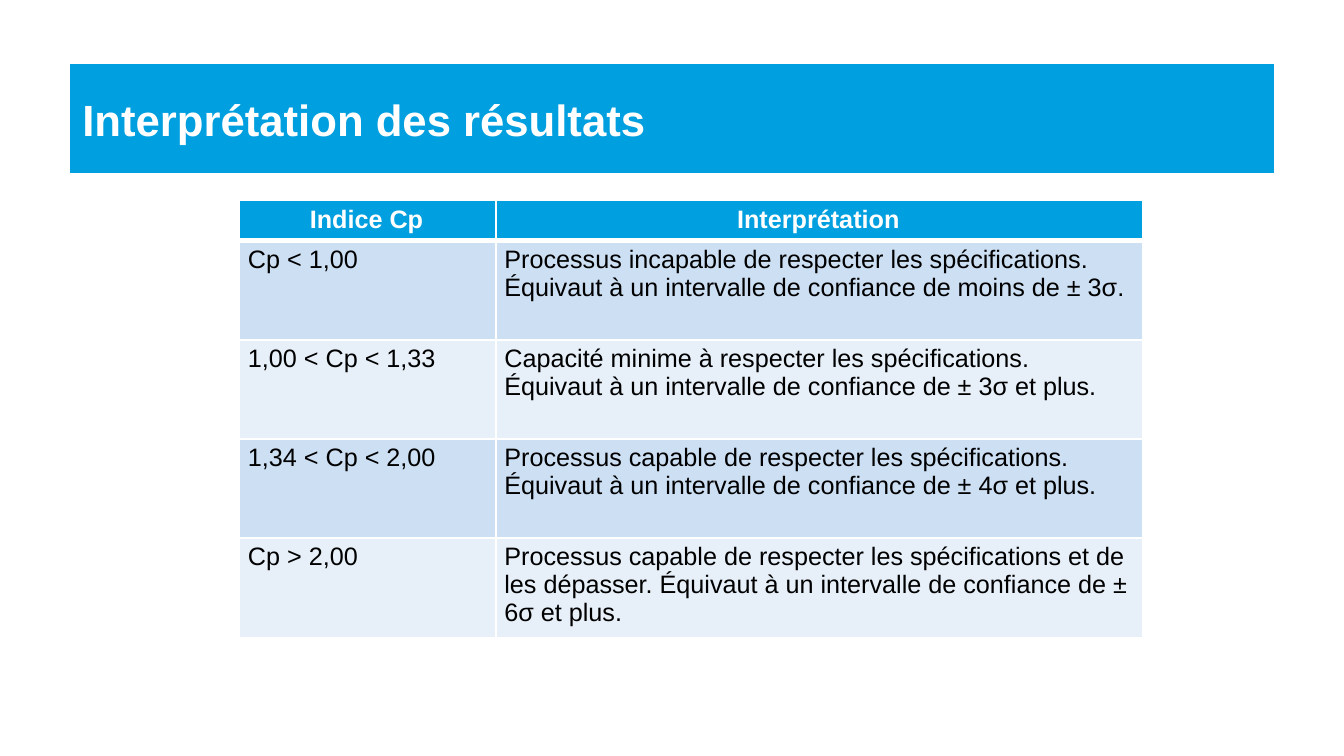
from lxml.etree import SubElement
from pptx import Presentation
from pptx.dml.color import RGBColor
from pptx.enum.text import MSO_ANCHOR as Anchor, PP_ALIGN as Align
from pptx.oxml.ns import qn
from pptx.util import Inches, Pt

BLUE, WHITE, BLACK = "009FDF", "FFFFFF", "000000"
BANDS = ["CCDFF3", "E7F0F9"]


def paint(fill, color):
    fill.solid()
    fill.fore_color.rgb = RGBColor.from_string(color)


def style(paragraph, size, color, bold, align):
    paragraph.alignment = align
    font = paragraph.font
    font.name, font.size, font.bold = "Arial", Pt(size), bold
    paint(font.fill, color)


deck = Presentation()
deck.slide_width, deck.slide_height = Inches(11.11), Inches(6.25)
page = deck.slides.add_slide(deck.slide_layouts[5])

# Title bar
title = page.shapes.title
title.left, title.top = Inches(0.58), Inches(0.53)
title.width, title.height = Inches(9.95), Inches(0.9)
paint(title.fill, BLUE)
title.text_frame.text = "Interprétation des résultats"
title.text_frame.vertical_anchor = Anchor.MIDDLE
style(title.text_frame.paragraphs[0], 26, WHITE, True, Align.LEFT)

# Table of Cp index ranges
rows = [
    ("Indice Cp", "Interprétation"),
    ("Cp < 1,00", "Processus incapable de respecter les spécifications. "
     "Équivaut à un intervalle de confiance de moins de ± 3σ."),
    ("1,00 < Cp < 1,33", "Capacité minime à respecter les spécifications. "
     "Équivaut à un intervalle de confiance de ± 3σ et plus."),
    ("1,34 < Cp < 2,00", "Processus capable de respecter les spécifications. "
     "Équivaut à un intervalle de confiance de ± 4σ et plus."),
    ("Cp > 2,00", "Processus capable de respecter les spécifications et de les dépasser. "
     "Équivaut à un intervalle de confiance de ± 6σ et plus."),
]
table = page.shapes.add_table(len(rows), 2, Inches(1.98), Inches(1.66),
                              Inches(7.47), Inches(3.61)).table
for column, width in zip(table.columns, [2.12, 5.35]):
    column.width = Inches(width)

for row_index, texts in enumerate(rows):
    header = row_index == 0
    table.rows[row_index].height = Inches(0.33 if header else 0.82)
    for column_index, text in enumerate(texts):
        cell = table.cell(row_index, column_index)
        cell.text = text
        cell.margin_left, cell.margin_right = Inches(0.07), Inches(0.09)
        cell.margin_top = cell.margin_bottom = Inches(0.04)
        style(cell.text_frame.paragraphs[0], 15, WHITE if header else BLACK,
              header, Align.CENTER if header else Align.LEFT)

        # White borders come before the fill, thicker under the header
        properties = cell._tc.get_or_add_tcPr()
        for side in ["L", "R", "T", "B"]:
            thick = (header and side == "B") or (row_index == 1 and side == "T")
            border = SubElement(properties, qn(f"a:ln{side}"), w=str(Pt(3 if thick else 1)))
            line_fill = SubElement(border, qn("a:solidFill"))
            SubElement(line_fill, qn("a:srgbClr"), val=WHITE)
        paint(cell.fill, BLUE if header else BANDS[(row_index - 1) % 2])

deck.save("out.pptx")
